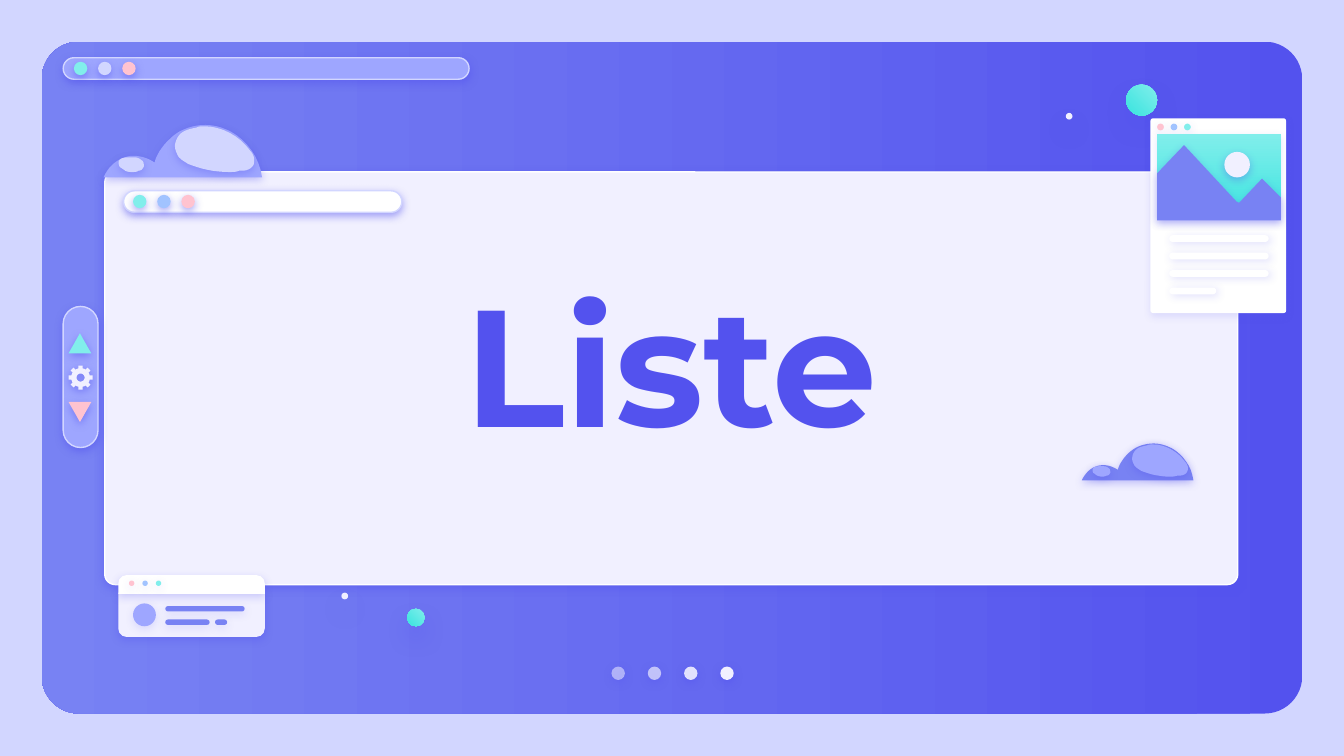
from math import cos, radians, sin

from lxml.etree import SubElement
from pptx import Presentation
from pptx.dml.color import RGBColor
from pptx.enum.shapes import MSO_SHAPE
from pptx.enum.text import MSO_ANCHOR, PP_ALIGN
from pptx.oxml.ns import qn
from pptx.util import Inches, Pt

W, H = 10, 10 * 9 / 16
INDIGO, BLUE, LILAC, PALE = "5352EE", "7882F3", "9EA6FF", "D2D6FF"
SKY, AQUA, TEAL, PINK = "A1C3FF", "81EEEB", "3AE4DF", "FFC3D0"
MIST, WHITE = "F1F0FF", "FFFFFF"

STRONG = (50, 4.5, 1.5, 90)
MEDIUM = (34, 4.5, 1.5, 90)
SOFT = (31, 4.5, 1.5, 90)
FAINT = (14, 4.5, 1.5, 90)
SLANTED = (18, 4.5, 1.5, 39)
FLOATING = (38, 12.4, 6.8, 90)

CLOUD_WIDTH = 118
CLOUD_BODY = [
    (76, 0), (67, 0), (58, 3), (52, 8), (46, 13), (40, 20), (38, 28),
    (34, 25), (28, 23), (23, 23), (21, 23), (19, 23), (16, 24),
    (9, 26), (3, 32), (0, 39), (0, 39), (118, 39), (118, 39),
    (116, 24), (107, 12), (95, 5), (89, 2), (83, 0), (76, 0)]
CLOUD_LARGE_PATCH = [
    (75, 1), (73, 1), (71, 1), (69, 2), (64, 3), (59, 4), (56, 8),
    (53, 12), (52, 17), (55, 22), (56, 25), (60, 27), (63, 29),
    (73, 33), (83, 35), (93, 35), (96, 35), (99, 35), (101, 34),
    (104, 34), (106, 34), (108, 33), (110, 32), (112, 30), (112, 28),
    (113, 25), (111, 21), (109, 19), (101, 8), (88, 1), (75, 1)]
CLOUD_SMALL_PATCH = [
    (21, 24), (18, 24), (14, 24), (12, 26), (11, 27), (11, 29), (12, 31),
    (13, 32), (15, 33), (16, 34), (18, 35), (20, 35), (21, 35),
    (23, 35), (25, 35), (26, 34), (28, 34), (29, 33), (30, 31),
    (30, 29), (30, 27), (28, 26), (26, 24), (23, 24), (21, 24)]
CLOUDS = [(0.77, 0.93, 1.18, LILAC, PALE), (8.05, 3.3, 0.83, BLUE, LILAC)]

MOUNTAINS = [(8.81, 1.08), (8.61, 1.29), (8.61, 1.64), (9.53, 1.64),
             (9.53, 1.47), (9.39, 1.33), (9.22, 1.51), (9.2, 1.5)]
BUBBLES = [(8.38, 0.63, 0.23, (AQUA, TEAL, 135)), (7.93, 0.84, 0.05, MIST),
           (3.03, 4.53, 0.13, (AQUA, TEAL, 135)), (2.54, 4.41, 0.05, MIST)]
PAGE_LINES = [0.74, 0.74, 0.74, 0.35]
PROFILE_LINES = [(1.23, 4.51, 0.59), (1.23, 4.61, 0.33), (1.6, 4.61, 0.09)]
PAGER_OPACITY = [54, 67, 90, 100]

prs = Presentation()
prs.slide_width, prs.slide_height = Inches(W), Inches(H)
s = prs.slides.add_slide(prs.slide_layouts[6])


def rgb(color):
    return RGBColor.from_string(color)


s.background.fill.solid()
s.background.fill.fore_color.rgb = rgb(PALE)


def style(sp, fill, shadow=None, line=None, opacity=100):
    if isinstance(fill, tuple):
        start, end, angle = fill
        sp.fill.gradient()
        sp.fill.gradient_angle = 360 - angle
        for stop, color in zip(sp.fill.gradient_stops, (start, end)):
            stop.color.rgb = rgb(color)
    else:
        sp.fill.solid()
        sp.fill.fore_color.rgb = rgb(fill)
    spPr = sp._element.spPr
    if opacity < 100:
        clr = spPr.find(qn("a:solidFill")).find(qn("a:srgbClr"))
        SubElement(clr, qn("a:alpha"), val=str(opacity * 1000))
    if line:
        sp.line.color.rgb = rgb(line)
        sp.line.width = Pt(0.75)
    else:
        sp.line.fill.background()
    sp.shadow.inherit = False
    if shadow:
        alpha, blur, dist, angle = shadow
        outer = SubElement(spPr.find(qn("a:effectLst")), qn("a:outerShdw"),
                           blurRad=str(Pt(blur)), dist=str(Pt(dist)),
                           dir=str(angle * 60000), algn="bl", rotWithShape="0")
        clr = SubElement(outer, qn("a:srgbClr"), val=INDIGO)
        SubElement(clr, qn("a:alpha"), val=str(alpha * 1000))
    return sp


def shape(kind, x, y, w, h, fill, shadow=None, line=None, adj=(), opacity=100):
    sp = s.shapes.add_shape(kind, Inches(x), Inches(y), Inches(w), Inches(h))
    for i, value in enumerate(adj):
        sp.adjustments[i] = value
    return style(sp, fill, shadow, line, opacity)


def rounded(x, y, w, h, fill, shadow, radius=0.5, line=None):
    return shape(MSO_SHAPE.ROUNDED_RECTANGLE, x, y, w, h, fill, shadow, line, [radius])


def dot(x, y, d, fill, shadow, opacity=100):
    return shape(MSO_SHAPE.OVAL, x, y, d, d, fill, shadow, opacity=opacity)


def dots(x, y, d, step, colors, shadow):
    for i, color in enumerate(colors):
        dot(x + i * step, y, d, color, shadow)


def outline(contours, fill, shadow):
    contours = [[(x * 1000, y * 1000) for x, y in c] for c in contours]
    fb = s.shapes.build_freeform(*contours[0][0], scale=Inches(1) / 1000)
    fb.add_line_segments(contours[0][1:], close=True)
    for c in contours[1:]:
        fb.move_to(*c[0])
        fb.add_line_segments(c[1:], close=True)
    return style(fb.convert_to_shape(), fill, shadow)


def curve(points, steps=8):
    result = [points[0]]
    for i in range(0, len(points) - 1, 3):
        for n in range(1, steps + 1):
            t = n / steps
            weights = ((1 - t) ** 3, 3 * t * (1 - t) ** 2, 3 * t * t * (1 - t), t ** 3)
            result.append(tuple(sum(k * p[axis] for k, p in zip(weights, points[i:i + 4]))
                                for axis in (0, 1)))
    return result


def cloud(x, y, w, body, patch):
    k = w / CLOUD_WIDTH
    for points, color in ((CLOUD_BODY, body), (CLOUD_LARGE_PATCH, patch),
                          (CLOUD_SMALL_PATCH, patch)):
        outline([[(x + px * k, y + py * k) for px, py in curve(points)]], color, SOFT)


def gear(cx, cy, outer, inner, hole):
    def polar(angle, r):
        return cx + r * cos(radians(angle)), cy + r * sin(radians(angle))

    tooth = [(-13, inner), (-10, outer), (10, outer), (13, inner), (22.5, inner)]
    rim = [polar(a + turn, r) for turn in range(0, 360, 45) for a, r in tooth]
    outline([rim, [polar(-a, hole) for a in range(0, 360, 15)]], MIST, (52, 4.5, 1.5, 90))


rounded(0.31, 0.31, W - 0.62, 5, (INDIGO, BLUE, 180), None, 0.056)
rounded(0.47, 0.43, 3.02, 0.16, LILAC, STRONG, line=PALE)
dots(0.55, 0.46, 0.1, 0.18, [AQUA, PALE, PINK], STRONG)
for i, opacity in enumerate(PAGER_OPACITY):
    dot(4.55 + i * 0.27, 4.96, 0.1, MIST, STRONG, opacity)
rounded(0.78, 1.28, 8.43, 3.07, MIST, STRONG, 0.025, WHITE)

tf = s.shapes.add_textbox(Inches(0.68), Inches(1.44), Inches(8.63), Inches(2.77)).text_frame
tf.word_wrap = True
tf.vertical_anchor = MSO_ANCHOR.MIDDLE
tf.margin_left = tf.margin_right = tf.margin_top = tf.margin_bottom = Inches(0.1)
p = tf.paragraphs[0]
p.text = "Liste"
p.alignment = PP_ALIGN.CENTER
p.line_spacing = 0.8
p.font.name, p.font.size, p.font.bold = "Montserrat", Pt(89), True
p.font.color.rgb = rgb(INDIGO)

for item in CLOUDS:
    cloud(*item)
for x, y, d, fill in BUBBLES:
    dot(x, y, d, fill, FLOATING)

rounded(8.56, 0.88, 1.01, 1.45, WHITE, FAINT, 0.02)
for i, width in enumerate(PAGE_LINES):
    rounded(8.7, 1.75 + i * 0.13, width, 0.05, WHITE, SLANTED)
dots(8.61, 0.92, 0.05, 0.1, [PINK, SKY, AQUA], FAINT)
shape(MSO_SHAPE.RECTANGLE, 8.61, 1, 0.92, 0.64, (AQUA, TEAL, 90), FAINT)
outline([MOUNTAINS], BLUE, MEDIUM)
dot(9.11, 1.13, 0.19, MIST, MEDIUM)

shape(MSO_SHAPE.ROUND_2_SAME_RECTANGLE, 0.88, 4.41, 1.09, 0.33, MIST, MEDIUM, adj=[0, 0.19])
shape(MSO_SHAPE.ROUND_2_SAME_RECTANGLE, 0.88, 4.28, 1.09, 0.14, WHITE,
      (24, 4.5, 1.5, 90), adj=[0.44, 0])
dots(0.96, 4.32, 0.04, 0.1, [PINK, SKY, AQUA], FAINT)
dot(0.99, 4.49, 0.17, LILAC, FAINT)
for x, y, width in PROFILE_LINES:
    rounded(x, y, width, 0.04, BLUE, FAINT)

rounded(0.92, 1.42, 2.07, 0.16, WHITE, STRONG, line=PALE)
dots(0.99, 1.45, 0.1, 0.18, [AQUA, SKY, PINK], STRONG)

rounded(0.47, 2.28, 0.26, 1.05, LILAC, STRONG, line=PALE)
shape(MSO_SHAPE.ISOSCELES_TRIANGLE, 0.51, 2.48, 0.17, 0.15, AQUA, STRONG)
shape(MSO_SHAPE.ISOSCELES_TRIANGLE, 0.51, 2.99, 0.17, 0.15, PINK, STRONG).rotation = 180
gear(0.6, 2.81, 0.09, 0.07, 0.03)

prs.save("out.pptx")
